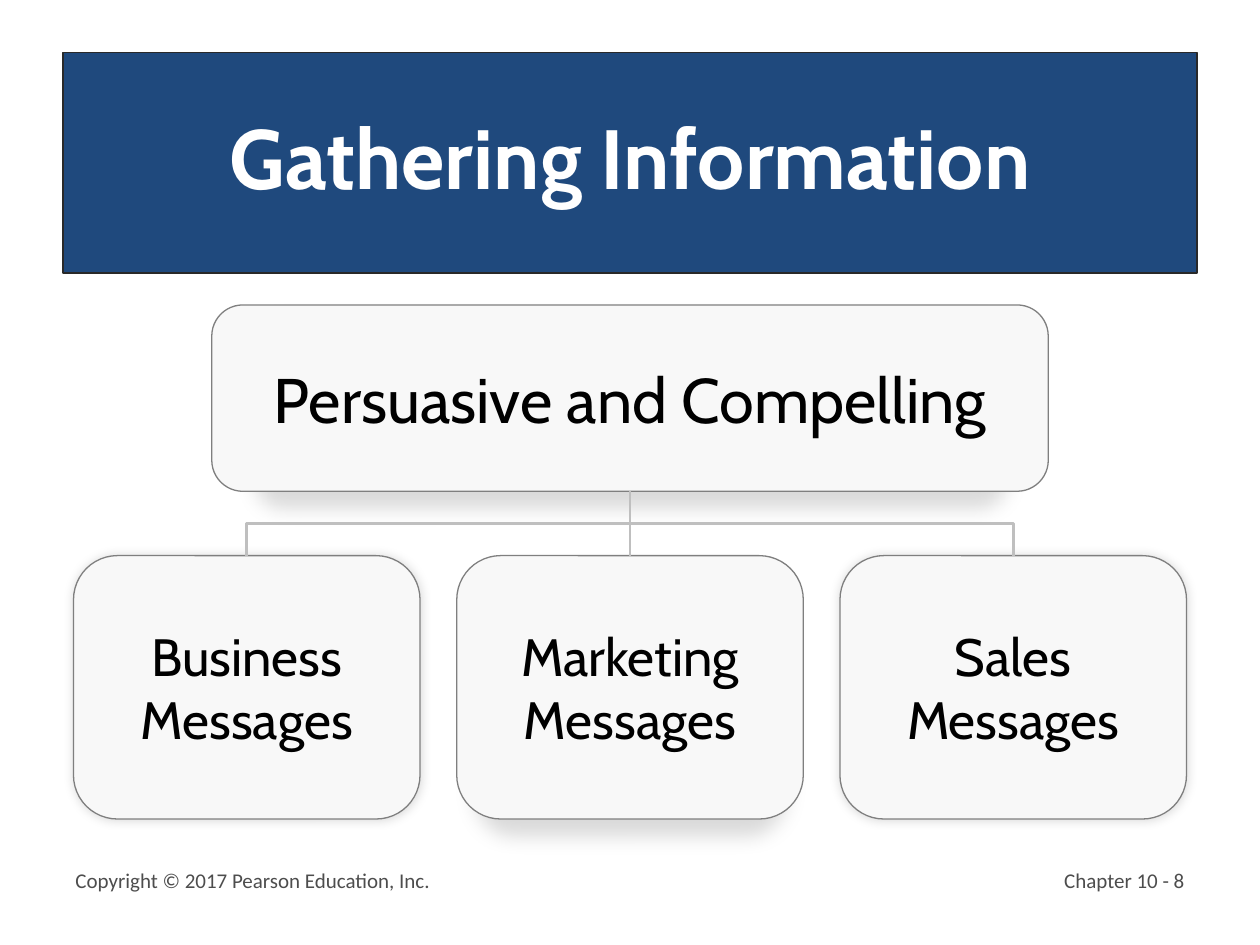
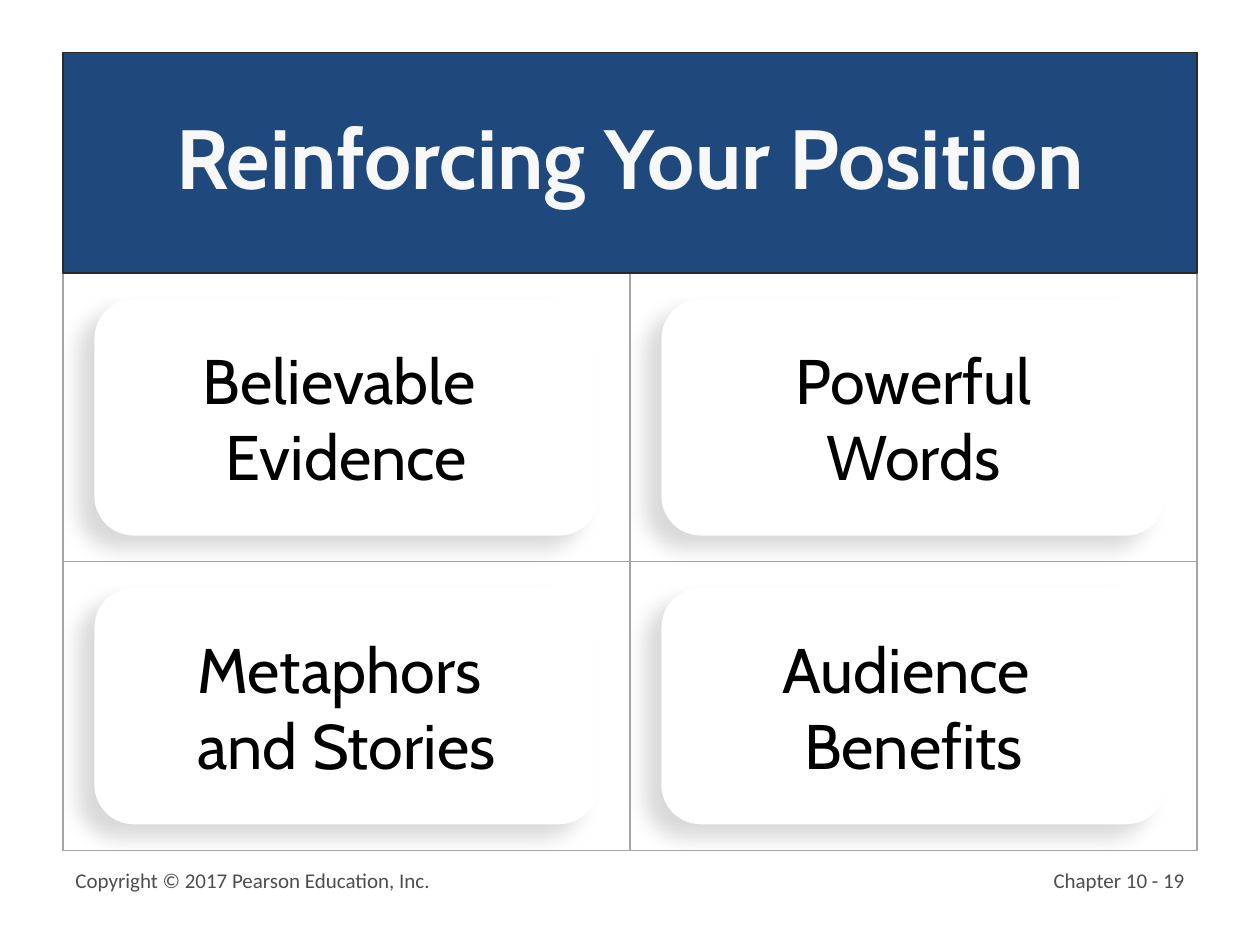
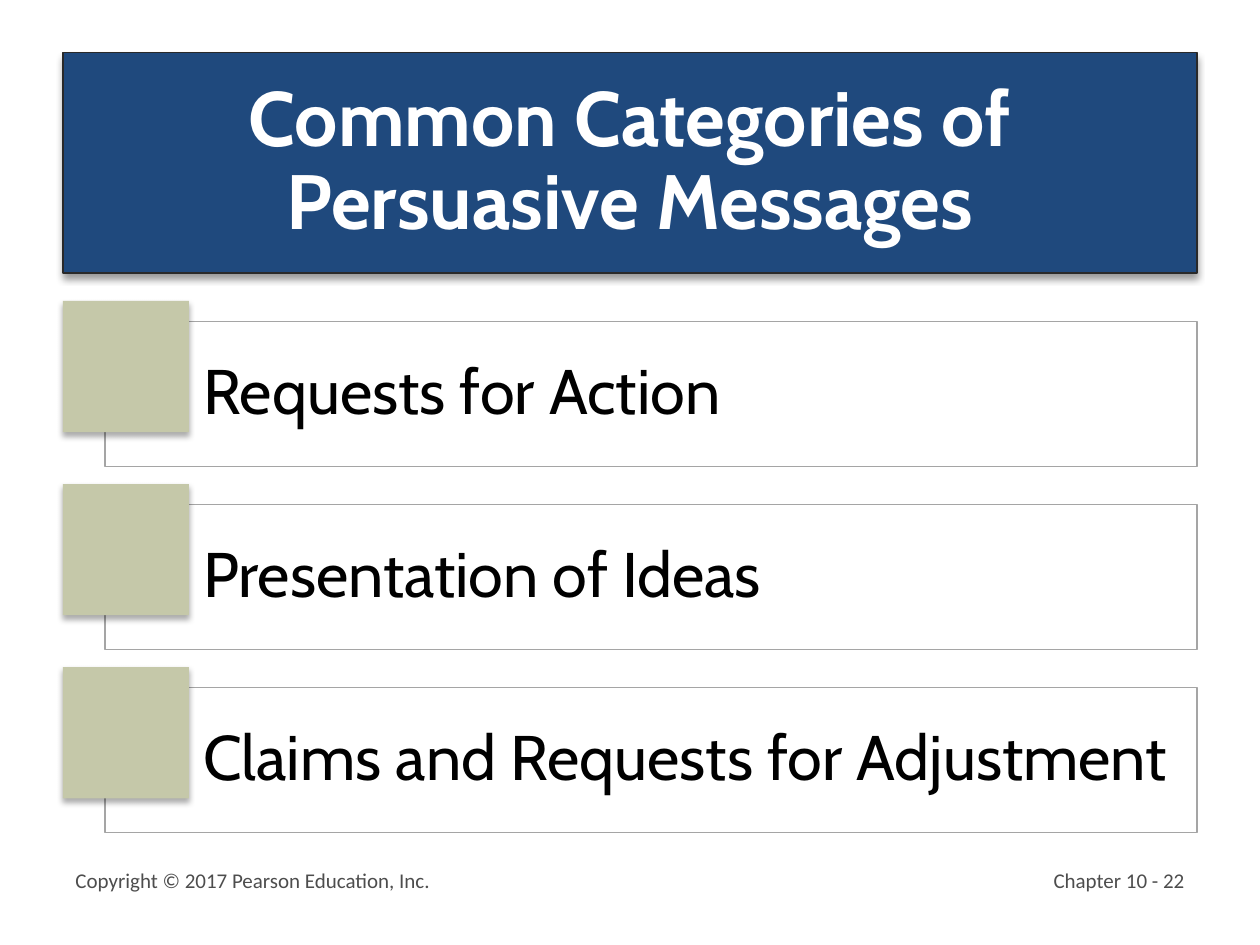
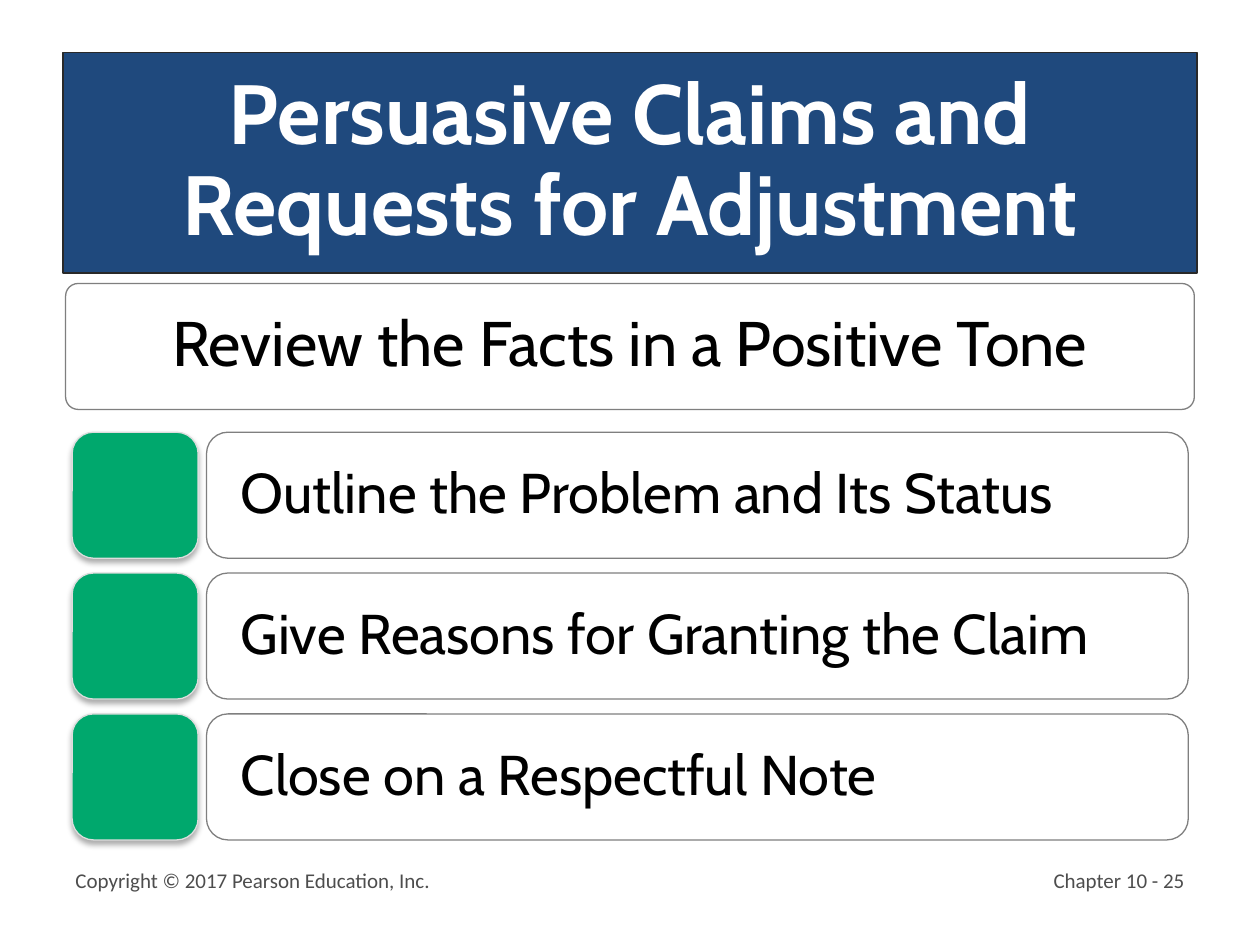
from lxml import etree
from pptx import Presentation
from pptx.dml.color import RGBColor
from pptx.enum import shapes, text
from pptx.oxml.ns import qn
from pptx.util import Pt

NAVY = RGBColor(0x1F, 0x49, 0x7D)
INK = RGBColor(0x29, 0x29, 0x29)
BLACK = RGBColor(0, 0, 0)
WHITE = RGBColor(0xFF, 0xFF, 0xFF)
OFF_WHITE = RGBColor(0xF8, 0xF8, 0xF8)
FOOTER_GRAY = RGBColor(0x4D, 0x4D, 0x4D)
EDGE_GRAY = RGBColor(0x7F, 0x7F, 0x7F)
GRID_GRAY = RGBColor(0xA5, 0xA5, 0xA5)
LINK_GRAY = RGBColor(0xBF, 0xBF, 0xBF)
PALE_GRAY = RGBColor(0xDD, 0xDD, 0xDD)
SAGE = RGBColor(0xC5, 0xC8, 0xA9)
GREEN = RGBColor(0x00, 0xA8, 0x6D)

RECT = shapes.MSO_SHAPE.RECTANGLE
ROUNDED = shapes.MSO_SHAPE.ROUNDED_RECTANGLE
PROCESS = shapes.MSO_SHAPE.FLOWCHART_ALTERNATE_PROCESS
LEFT, CENTER, RIGHT = text.PP_ALIGN.LEFT, text.PP_ALIGN.CENTER, text.PP_ALIGN.RIGHT

# Shadows: opacity %, blur pt, distance pt, direction in degrees, width %
TITLE_SHADOW = (40, 4, 3, 90, 100)
TILE_SHADOW = (32, 3.5, 2.2, 90, 100)
HALO = (15, 6, 0, 0, 100)
DROP = (15, 12, 9, 90, 90)
SIDE_SHADOW = (15, 11.8, 12, 141, 100)


def add_box(s, kind, at, lines=(), fill=None, line=None, shadow=None, radius=None,
            insets=(7.2, 3.6, 7.2, 3.6), align=CENTER, spacing=None, **font):
    """Add a shape; at is left, top, width, height and font overrides the body font."""
    sp = s.shapes.add_shape(kind, *map(Pt, at))
    if radius is not None:
        sp.adjustments[0] = radius
    for paint, color in ((sp.fill, fill), (sp.line.fill, line)):
        if color is None:
            paint.background()
        else:
            paint.solid()
            paint.fore_color.rgb = color
    if line is not None:
        sp.line.width = Pt(0.75)
    sp.shadow.inherit = False
    if shadow:
        opacity, blur, distance, angle, width = shadow
        outer = etree.SubElement(
            sp._element.spPr.find(qn("a:effectLst")), qn("a:outerShdw"),
            blurRad=str(Pt(blur)), dist=str(Pt(distance)), dir=str(angle * 60000),
            sx=str(width * 1000), algn="t", rotWithShape="0")
        color = etree.SubElement(outer, qn("a:srgbClr"), val="000000")
        etree.SubElement(color, qn("a:alpha"), val=str(opacity * 1000))
    tf = sp.text_frame
    tf.word_wrap = True
    tf.vertical_anchor = text.MSO_ANCHOR.MIDDLE
    for side, inset in zip(("left", "top", "right", "bottom"), insets):
        setattr(tf, f"margin_{side}", Pt(inset))
    look = {"name": "Cabin", "size": Pt(36), "bold": False, **font}
    color = look.pop("color", BLACK)
    for i, words in enumerate(lines):
        p = tf.add_paragraph() if i else tf.paragraphs[0]
        p.alignment = align
        p.line_spacing = spacing
        r = p.add_run()
        r.text = words
        for name, value in look.items():
            setattr(r.font, name, value)
        r.font.color.rgb = color
    return sp


def add_frame(s, title, page, size=48, color=WHITE, shadow=None):
    """Add the title band and the two footers."""
    add_box(s, RECT, (36, 30, 648, 126), [title], NAVY, INK, shadow,
            spacing=0.9, size=Pt(size), bold=True, color=color)
    for left, width, words, align in (
            (36, 444, "Copyright © 2017 Pearson Education, Inc.", LEFT),
            (534, 150, f"Chapter 10 - {page}", RIGHT)):
        tf = s.shapes.add_textbox(Pt(left), Pt(492), Pt(width), Pt(36)).text_frame
        tf.word_wrap = True
        p = tf.paragraphs[0]
        p.alignment = align
        r = p.add_run()
        r.text = words
        for name, value in {"name": "Calibri", "size": Pt(12)}.items():
            setattr(r.font, name, value)
        r.font.color.rgb = FOOTER_GRAY


prs = Presentation()
prs.slide_width, prs.slide_height = Pt(720), Pt(540)
blank = prs.slide_layouts[6]

# Gathering Information: one parent box above three message types
s = prs.slides.add_slide(blank)
add_frame(s, "Gathering Information", 8)
parent_bottom, child_top, pitch = 280.75, 317.5, 219
parent = add_box(s, PROCESS, (121, 174.25, 478, 106.5), ["Persuasive and Compelling"],
                 OFF_WHITE, EDGE_GRAY, DROP)
for column, words, shadow in ((2, "Sales Messages", HALO),
                              (0, "Business Messages", HALO),
                              (1, "Marketing Messages", DROP)):
    child = add_box(s, PROCESS, (42 + pitch * column, child_top, 198, 150.5), [words],
                    OFF_WHITE, EDGE_GRAY, shadow, size=Pt(30))
    side = column - 1
    kind = shapes.MSO_CONNECTOR.ELBOW if side else shapes.MSO_CONNECTOR.STRAIGHT
    c = s.shapes.add_connector(kind, Pt(360), Pt(parent_bottom),
                               Pt(360 + pitch * side), Pt(child_top))
    c.begin_connect(parent, 2)
    c.end_connect(child, 0)
    if side:
        # Turn the elbow so that it leaves downwards
        drop = child_top - parent_bottom
        c.left, c.top = Pt(360 + (pitch * side - drop) / 2), Pt(parent_bottom + (drop - pitch) / 2)
        c.width, c.height = Pt(drop), Pt(pitch)
        xfrm = c._element.spPr.find(qn("a:xfrm"))
        xfrm.set("rot", str((90 if side < 0 else 270) * 60000))
        xfrm.set("flipH", "0" if side < 0 else "1")
    c.line.color.rgb = LINK_GRAY
    c.line.width = Pt(1.5)
    etree.SubElement(c._element.spPr, qn("a:effectLst"))

# Reinforcing Your Position: two by two grid of cards
s = prs.slides.add_slide(blank)
cells = [(36 + 324 * column, 156 + 165 * row) for row in range(2) for column in range(2)]
for left, top in cells:
    add_box(s, PROCESS, (left + 18, top + 15, 288, 135), fill=WHITE, shadow=SIDE_SHADOW)
cell_texts = (("Believable ", "Evidence"), ("Powerful", "Words"),
              ("Metaphors ", "and Stories"), ("Audience ", "Benefits"))
for (left, top), lines in zip(cells, cell_texts):
    add_box(s, RECT, (left, top, 324, 165), lines, line=GRID_GRAY)
add_frame(s, "Reinforcing Your Position", 19, color=OFF_WHITE)

# Common Categories: rows with an overlapping tile
s = prs.slides.add_slide(blank)
add_frame(s, "Common Categories of Persuasive Messages", 22, 44, shadow=TITLE_SHADOW)
for i, words in enumerate(("Requests for Action", "Presentation of Ideas",
                           "Claims and Requests for Adjustment")):
    top = 172 + 104.6 * i
    row = add_box(s, RECT, (60, top + 11.6, 624, 83), [words], WHITE, GRID_GRAY,
                  insets=(56, 15, 12, 15), align=LEFT, spacing=0.9)
    fill_color = row._element.spPr.find(qn("a:solidFill")).find(qn("a:srgbClr"))
    etree.SubElement(fill_color, qn("a:alpha"), val="40000")
    add_box(s, RECT, (36, top, 72, 75), fill=SAGE, shadow=TILE_SHADOW)

# Persuasive Claims: a lead banner and three steps
s = prs.slides.add_slide(blank)
add_frame(s, "Persuasive Claims and Requests for Adjustment", 25)
add_box(s, ROUNDED, (37.5, 162, 645, 72), ["Review the Facts in a Positive Tone"],
        WHITE, EDGE_GRAY, radius=0.1, spacing=0.9)
for i, words in enumerate(("Outline the Problem and Its Status",
                           "Give Reasons for Granting the Claim",
                           "Close on a Respectful Note")):
    top = 247 + 80.5 * i
    add_box(s, ROUNDED, (41.25, top, 72, 72), fill=GREEN, line=PALE_GRAY,
            shadow=TILE_SHADOW, radius=0.17)
    add_box(s, ROUNDED, (118, top, 561, 72), [words], WHITE, EDGE_GRAY, radius=0.17,
            insets=(16, 3.6, 16, 3.6), align=LEFT, spacing=0.9, size=Pt(32))

prs.save("out.pptx")
